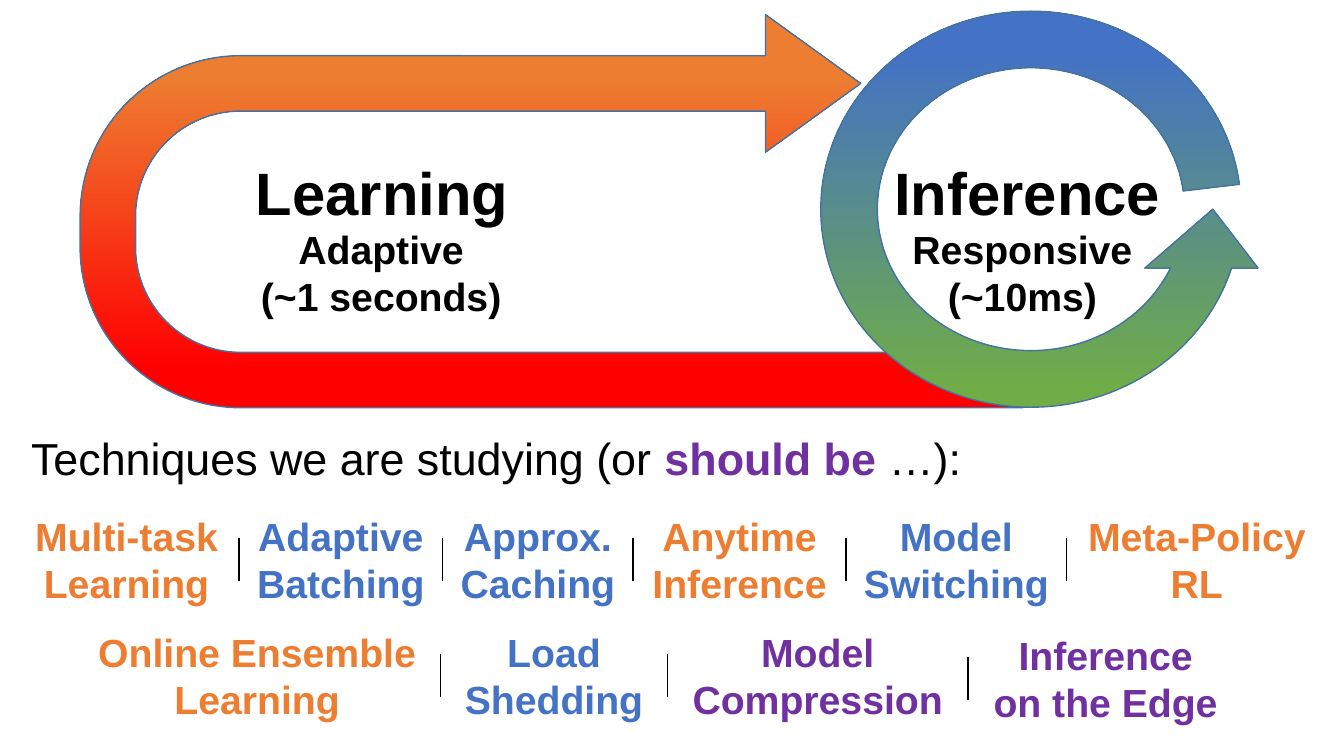
from dataclasses import dataclass

from lxml import etree
from pptx import Presentation
from pptx import util as u
from pptx.dml.color import RGBColor
from pptx.enum import shapes, text
from pptx.oxml.ns import qn

PX = 9144


@dataclass(frozen=True)
class Theme:
    font: str = "Arial"
    black: str = "000000"
    orange: str = "ED7D31"
    red: str = "FF0000"
    blue: str = "4472C4"
    green: str = "70AD47"
    purple: str = "7030A0"
    outline: str = "43739E"
    title: float = 42.7
    lead: float = 32
    body: float = 28


theme = Theme()


def add_text(parent, words, box, size=theme.body, color=theme.black, bold=True,
             align=text.PP_ALIGN.CENTER, accent=theme.purple):
    frame = parent.add_textbox(*[n * PX for n in box]).text_frame
    frame.word_wrap = False
    frame.auto_size = text.MSO_AUTO_SIZE.SHAPE_TO_FIT_TEXT
    for row, line in enumerate(words.split("\n")):
        paragraph = frame.add_paragraph() if row else frame.paragraphs[0]
        paragraph.alignment = align
        for index, piece in enumerate(line.split("|")):
            emphasised = index % 2 == 1
            run = paragraph.add_run()
            run.text = piece
            run.font.name = theme.font
            run.font.size = u.Pt(size)
            run.font.bold = bold or emphasised
            run.font.color.rgb = RGBColor.from_string(accent if emphasised else color)


def add_loop(parent, preset, box, rotation, adjustments, colors, angle):
    loop = parent.add_shape(preset, *[n * PX for n in box])
    loop.rotation = rotation
    loop.shadow.inherit = False
    for index, value in enumerate(adjustments):
        loop.adjustments[index] = value
    loop.fill.gradient()
    loop.fill.gradient_angle = angle
    for stop, color, position in zip(loop.fill.gradient_stops, colors, (0.1, 0.84)):
        stop.color.rgb = RGBColor.from_string(color)
        stop.position = position
    loop.line.color.rgb = RGBColor.from_string(theme.outline)
    loop.line.width = u.Pt(1)
    return loop


deck = Presentation()
deck.slide_width, deck.slide_height = 1333 * PX, 750 * PX
slide = deck.slides.add_slide(deck.slide_layouts[6])
canvas = slide.shapes

add_loop(canvas, shapes.MSO_SHAPE.U_TURN_ARROW, (352, -258, 390, 935), 270,
         (0.141, 0.175, 0.242, 0.408, 0.828), (theme.red, theme.orange), 0)
inference_loop = add_loop(canvas, shapes.MSO_SHAPE.CIRCULAR_ARROW, (786, -17, 473, 449), 180,
                          (0.125, 11.423, 204.577, 4.086, 0.125),
                          (theme.green, theme.blue), 270)
inference_loop._element.spPr.find(qn("a:xfrm")).set("flipH", "1")

add_text(canvas, "Learning", (243, 150, 272, 82), size=theme.title)
add_text(canvas, "Inference", (875, 150, 288, 82), size=theme.title)
add_text(canvas, "Adaptive\n(~1 seconds)", (243, 219, 270, 104))
add_text(canvas, "Responsive\n(~10ms)", (895, 219, 238, 104))
add_text(canvas, "Techniques we are studying (or |should be |…):", (21, 422, 943, 64),
         size=theme.lead, bold=False, align=text.PP_ALIGN.LEFT)

technique_rows = [
    (21, 503, 14, [
        ("Multi-task\nLearning", 209, theme.orange, 0),
        ("Adaptive\nBatching", 188, theme.blue, 0),
        ("Approx.\nCaching", 175, theme.blue, 0),
        ("Anytime\nInference", 197, theme.orange, 0),
        ("Model\nSwitching", 205, theme.blue, 0),
        ("Meta-Policy\nRL", 244, theme.orange, 0),
    ]),
    (87, 618, 28, [
        ("Online Ensemble\nLearning", 336, theme.orange, 0),
        ("Load\nShedding", 197, theme.blue, 0),
        ("Model\nCompression", 270, theme.purple, 0),
        ("Inference\non the Edge", 245, theme.purple, 3),
    ]),
]
for left, top, gap, techniques in technique_rows:
    group = canvas.add_group_shape().shapes
    for index, (technique, width, color, drop) in enumerate(techniques):
        add_text(group, technique, (left, top + drop, width, 104), color=color)
        if index:
            x, y = left - gap // 2, top + drop + 31
            divider = group.add_connector(shapes.MSO_CONNECTOR.STRAIGHT,
                                          x * PX, y * PX, x * PX, (y + 42) * PX)
            divider.line.color.rgb = RGBColor.from_string(theme.black)
            divider.line.width = u.Pt(1)
            etree.SubElement(divider._element.spPr, qn("a:effectLst"))
        left += width + gap

deck.save("out.pptx")
